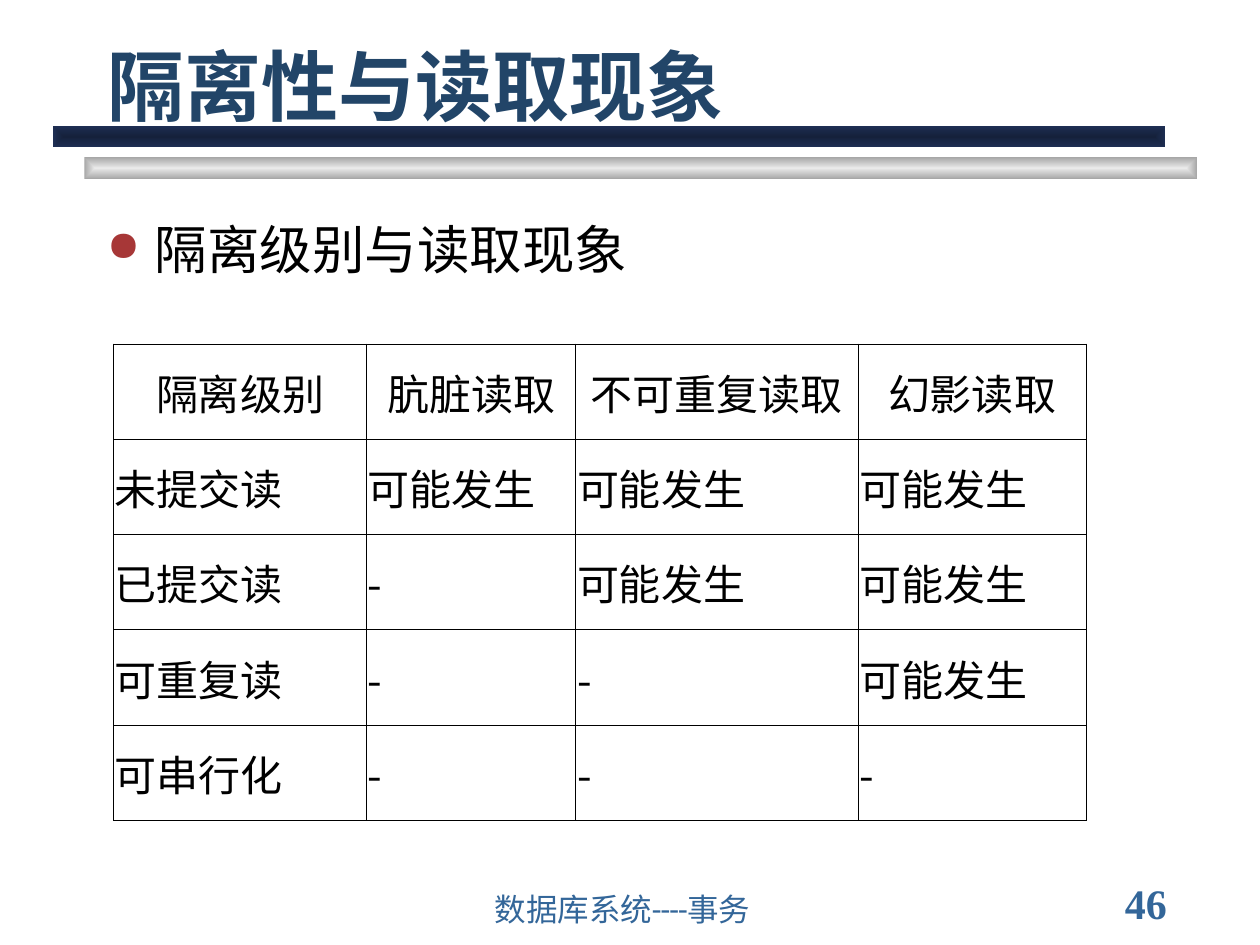
import pptx
import pptx.util
import pptx.dml.color
import pptx.enum.shapes
import pptx.enum.text
import pptx.oxml
import pptx.oxml.ns
from lxml import etree

Inches, Pt = pptx.util.Inches, pptx.util.Pt
RGB = pptx.dml.color.RGBColor
ANCHOR, ALIGN = pptx.enum.text.MSO_ANCHOR, pptx.enum.text.PP_ALIGN
NS = pptx.oxml.ns.nsdecls("a")
COLORS = {"title": "224568", "text": "000000", "footer": "336699", "bullet": "A73737",
          "line": "000000", "gray_in": "EAEAEA", "gray_out": "A7A7A7",
          "navy_in": "15213B", "navy_out": "1E2E53"}


def write(tf, text, color, font, align=ALIGN.LEFT):
    p = tf.paragraphs[0]
    p.alignment = align
    r = p.add_run()
    r.text = text
    for name, value in font.items():
        setattr(r.font, name, value)
    r.font.color.rgb = RGB.from_string(COLORS[color])
    ea = etree.SubElement(r.font._element, pptx.oxml.ns.qn("a:ea"))
    ea.set("typeface", "Noto Sans CJK JP")
    return p


prs = pptx.Presentation()
prs.slide_width, prs.slide_height = Inches(10), Inches(7.5)
s = prs.slides.add_slide(prs.slide_layouts[5])

# Title
title = s.shapes.title
title.left, title.top, title.width, title.height = [Inches(v) for v in (0.75, 0.17, 8.5, 0.92)]
tf = title.text_frame
tf.auto_size = pptx.enum.text.MSO_AUTO_SIZE.NONE
tf.vertical_anchor = ANCHOR.BOTTOM
write(tf, "隔离性与读取现象", "title", {"size": Pt(44), "name": "Arial", "bold": True})

# Bars under the title, placed behind it
for i, (x, y, tone) in enumerate([(0.67, 1.25, "gray"), (0.42, 1, "navy")]):
    bar = s.shapes.add_shape(pptx.enum.shapes.MSO_SHAPE.RECTANGLE,
                             Inches(x), Inches(y), Inches(8.83), Inches(0.17))
    bar.shadow.inherit = False
    bar.line.fill.background()
    bar.fill.background()
    no_fill = bar._element.spPr.find(pptx.oxml.ns.qn("a:noFill"))
    no_fill.getparent().replace(no_fill, pptx.oxml.parse_xml(
        f'<a:gradFill {NS} rotWithShape="1"><a:gsLst>'
        f'<a:gs pos="0"><a:srgbClr val="{COLORS[tone + "_in"]}"/></a:gs>'
        f'<a:gs pos="100000"><a:srgbClr val="{COLORS[tone + "_out"]}"/></a:gs></a:gsLst>'
        '<a:path path="shape"><a:fillToRect l="50000" t="50000" r="50000" b="50000"/>'
        '</a:path></a:gradFill>'))
    s.shapes._spTree.insert(2 + i, bar._element)

# Bullet, page number and footer
texts = [
    ("隔离级别与读取现象", (0.75, 1.67, 8.5, 0.82), "text", ANCHOR.TOP, True,
     {"size": Pt(30), "name": "Arial"}),
    ("46", (8.83, 7, 1.08, 0.33), "footer", ANCHOR.MIDDLE, False,
     {"size": Pt(24), "name": "Times New Roman", "bold": True}),
    ("数据库系统----事务", (3.83, 7.08, 4.08, 0.33), "footer", ANCHOR.BOTTOM, True,
     {"size": Pt(18), "name": "Roboto"}),
]
for text, box, color, anchor, wrap, font in texts:
    tf = s.shapes.add_textbox(*[Inches(v) for v in box]).text_frame
    tf.word_wrap, tf.vertical_anchor = wrap, anchor
    p = write(tf, text, color, font)
    if color == "text":
        pPr = p._p.get_or_add_pPr()
        pPr.set("marL", str(Inches(0.38)))
        pPr.set("indent", str(-Inches(0.38)))
        for xml in (f'<a:buClr {NS}><a:srgbClr val="{COLORS["bullet"]}"/></a:buClr>',
                    f'<a:buSzPct {NS} val="80000"/>', f'<a:buChar {NS} char="●"/>'):
            pPr.append(pptx.oxml.parse_xml(xml))

# Table of isolation levels
MAYBE = "可能发生"
rows = [
    ["隔离级别", "肮脏读取", "不可重复读取", "幻影读取"],
    ["未提交读", MAYBE, MAYBE, MAYBE],
    ["已提交读", "-", MAYBE, MAYBE],
    ["可重复读", "-", "-", MAYBE],
    ["可串行化", "-", "-", "-"],
]
table = s.shapes.add_table(len(rows), 4, Inches(0.9), Inches(2.73),
                           Inches(7.72), Inches(3.78)).table
table.first_row = table.horz_banding = False
for column, width in zip(table.columns, (2.01, 1.66, 2.24, 1.81)):
    column.width = Inches(width)
cell_format = {"vertical_anchor": ANCHOR.MIDDLE, "margin_left": Inches(0.01),
               "margin_right": Inches(0.01), "margin_top": Inches(0.01), "margin_bottom": 0}
for i, row in enumerate(rows):
    for j, text in enumerate(row):
        cell = table.cell(i, j)
        for name, value in cell_format.items():
            setattr(cell, name, value)
        write(cell.text_frame, text, "text", {"size": Pt(24), "name": "Noto Sans CJK JP"},
              ALIGN.LEFT if i else ALIGN.CENTER)
        tcPr = cell._tc.get_or_add_tcPr()
        for side in ("lnL", "lnR", "lnT", "lnB"):
            tcPr.append(pptx.oxml.parse_xml(
                f'<a:{side} {NS} w="{Pt(0.5)}"><a:solidFill>'
                f'<a:srgbClr val="{COLORS["line"]}"/></a:solidFill></a:{side}>'))
        cell.fill.background()

prs.save("out.pptx")
